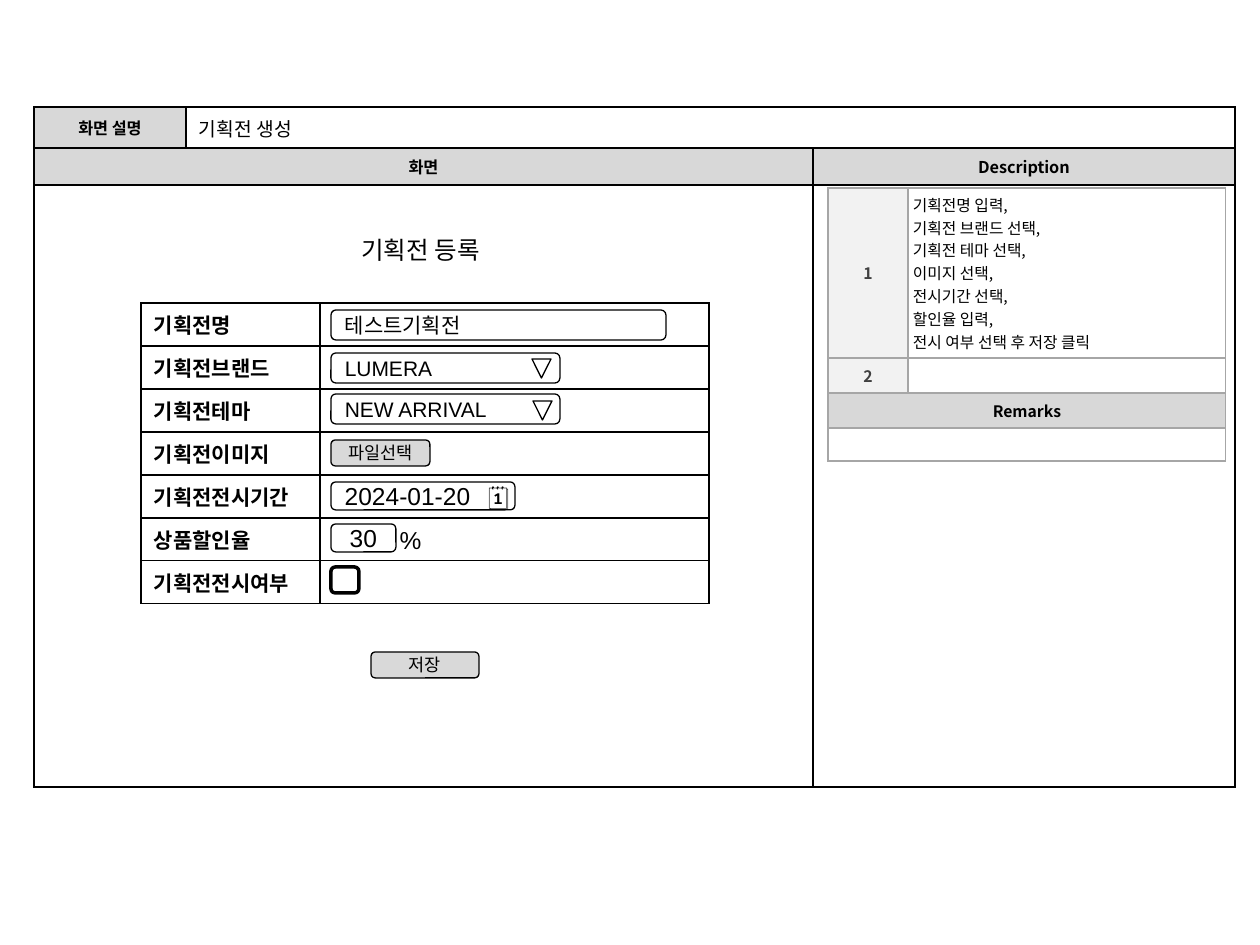
from lxml.etree import SubElement
from pptx import Presentation
from pptx.dml.color import RGBColor
from pptx.enum.shapes import MSO_SHAPE as SHAPE
from pptx.enum.text import MSO_ANCHOR as ANCHOR, MSO_AUTO_SIZE as AUTO, PP_ALIGN as ALIGN
from pptx.oxml.ns import qn
from pptx.util import Emu, Pt

PX = 914400 // 126
KR, LATIN = "Noto Sans CJK KR", "Arial"
C = dict(black="000000", white="FFFFFF", head="D8D8D8", button="D9D9D9",
         number="F2F2F2", gray="404040", rule="A6A6A6")

# Text styles: font values and paragraph alignment
HEAD = dict(size=9.3, name=KR, bold=True, align=ALIGN.CENTER)
TITLE = dict(size=11, name=KR)
NUMBER = dict(size=9, name=KR, bold=True, color="gray", align=ALIGN.CENTER)
REMARK = dict(NUMBER, color="black")
NOTE = dict(size=9, name=KR)
LABEL = dict(size=12, name=LATIN, bold=True)
FIELD = dict(size=12, name=LATIN)
BIG = dict(size=14, name=LATIN)
BIG_MID = dict(BIG, align=ALIGN.CENTER)
BUTTON = dict(size=10, name=LATIN, align=ALIGN.CENTER)

STEPS = ["기획전명 입력,", "기획전 브랜드 선택,", "기획전 테마 선택,", "이미지 선택,",
         "전시기간 선택,", "할인율 입력,", "전시 여부 선택 후 저장 클릭"]
LABELS = ["기획전명", "기획전브랜드", "기획전테마", "기획전이미지",
          "기획전전시기간", "상품할인율", "기획전전시여부"]
PAD, TIGHT, SMALL = (13, 6, 13, 6), (0, 6, 0, 6), (5, 5, 5, 5)
MID, TOP = ANCHOR.MIDDLE, ANCHOR.TOP

# Cells: (row, column): lines, style, fill, insets, anchor
FRAME = dict(
    at=(34, 107), cols=[152, 627, 422], rows=[41, 37, 602], border=("black", 1),
    spans=[(0, 1, 2), (1, 0, 1), (2, 0, 1)],
    cells={(0, 0): (["화면 설명"], HEAD, "head", PAD, MID),
           (0, 1): (["기획전 생성"], TITLE, "white", PAD, MID),
           (1, 0): (["화면"], HEAD, "head", PAD, MID),
           (1, 2): (["Description"], HEAD, "head", PAD, MID),
           (2, 0): ([""], NOTE, "white", PAD, TOP),
           (2, 2): ([""], NOTE, "white", PAD, TOP)})
DESCRIPTION = dict(
    at=(828, 188), cols=[80, 318], rows=[170, 35, 35, 33], border=("rule", 0.75),
    spans=[(2, 0, 1), (3, 0, 1)],
    cells={(0, 0): (["1"], NUMBER, "number", TIGHT, MID),
           (0, 1): (STEPS, NOTE, "white", SMALL, TOP),
           (1, 0): (["2"], NUMBER, "number", TIGHT, MID),
           (1, 1): ([""], NOTE, "white", SMALL, TOP),
           (2, 0): (["Remarks"], REMARK, "head", PAD, MID)})
FORM = dict(
    at=(141, 303), cols=[179, 389], rows=[43] * len(LABELS), border=("black", 1), spans=[],
    cells={(i, 0): ([label], LABEL, None, PAD, TOP) for i, label in enumerate(LABELS)})

# Form controls: box, fill, line width, text, style
FIELD_X = 331
CONTROLS = [
    ((FIELD_X, 440, 99, 26), "button", 0.75, "파일선택", BUTTON),
    ((FIELD_X, 310, 335, 30), "white", 0.75, "테스트기획전", FIELD),
    ((FIELD_X, 567, 28, 26), None, 2, "", FIELD),
    ((FIELD_X, 482, 184, 28), "white", 0.75, "2024-01-20", BIG),
    ((FIELD_X, 524, 65, 28), "white", 0.75, "30", BIG_MID),
    ((371, 652, 108, 26), "button", 0.75, "저장", BUTTON),
    ((FIELD_X, 353, 229, 30), "white", 0.75, "LUMERA", FIELD),
    ((FIELD_X, 394, 229, 30), "white", 0.75, "NEW ARRIVAL", FIELD),
]
ARROWS = [(532, 359, 19, 19), (533, 401, 19, 19)]
# Free text: box, text, wrap
TEXTS = [((474, 475, 50, 43), "🗓", False),
         ((388, 519, 24, 43), "%", True),
         ((349, 229, 156, 43), "기획전 등록", False)]


def px(*values):
    return [Emu(v * PX) for v in values]


def rgb(name):
    return RGBColor.from_string(C[name])


def paint(fill, name):
    if name:
        fill.solid()
        fill.fore_color.rgb = rgb(name)
    else:
        fill.background()


def write(tf, lines, style):
    for i, line in enumerate(lines):
        p = tf.add_paragraph() if i else tf.paragraphs[0]
        p.alignment = style.get("align", ALIGN.LEFT)
        if not line:
            SubElement(p._p, qn("a:endParaRPr"), sz=str(round(style["size"] * 100)))
            continue
        r = p.add_run()
        r.text = line
        r.font.color.rgb = rgb(style.get("color", "black"))
        values = dict(size=Pt(style["size"]), name=style["name"], bold=style.get("bold", False))
        for key, value in values.items():
            setattr(r.font, key, value)
        SubElement(r._r.get_or_add_rPr(), qn("a:ea"), typeface=KR)


def set_borders(cell, color, width):
    tcPr = cell._tc.get_or_add_tcPr()
    for i, side in enumerate("LRTB"):
        ln = SubElement(tcPr, qn("a:ln" + side), w=str(Pt(width)))
        SubElement(SubElement(ln, qn("a:solidFill")), qn("a:srgbClr"), val=C[color])
        tcPr.insert(i, ln)


def add_table(slide, at, cols, rows, border, spans, cells):
    box = px(*at, sum(cols), sum(rows))
    table = slide.shapes.add_table(len(rows), len(cols), *box).table
    table.first_row = table.horz_banding = False
    for col, width in zip(table.columns, cols):
        col.width = Emu(width * PX)
    for row, height in zip(table.rows, rows):
        row.height = Emu(height * PX)
    for row, first, last in spans:
        table.cell(row, first).merge(table.cell(row, last))
    for r in range(len(rows)):
        for c in range(len(cols)):
            cell = table.cell(r, c)
            lines, style, fill, insets, anchor = cells.get((r, c), ([""], NOTE, None, PAD, TOP))
            for side, inset in zip(("left", "top", "right", "bottom"), px(*insets)):
                setattr(cell, "margin_" + side, inset)
            cell.vertical_anchor = anchor
            paint(cell.fill, fill)
            set_borders(cell, *border)
            write(cell.text_frame, lines, style)


def add_box(slide, kind, box, fill, width):
    s = slide.shapes.add_shape(kind, *px(*box))
    s.shadow.inherit = False
    paint(s.fill, fill)
    s.line.color.rgb = rgb("black")
    s.line.width = Pt(width)
    return s


def main():
    prs = Presentation()
    prs.slide_width, prs.slide_height = px(1260, 945)
    slide = prs.slides.add_slide(prs.slide_layouts[6])

    for table in (FRAME, DESCRIPTION, FORM):
        add_table(slide, **table)

    # Fields and buttons
    for box, fill, width, text, style in CONTROLS:
        s = add_box(slide, SHAPE.ROUNDED_RECTANGLE, box, fill, width)
        s.text_frame.vertical_anchor = MID
        write(s.text_frame, [text], style)

    # Calendar icon, unit and form title
    for box, text, wrap in TEXTS:
        tf = slide.shapes.add_textbox(*px(*box)).text_frame
        tf.word_wrap = wrap
        tf.auto_size = AUTO.SHAPE_TO_FIT_TEXT
        write(tf, [text], BIG)

    # Drop-down arrows
    for box in ARROWS:
        add_box(slide, SHAPE.FLOWCHART_MERGE, box, "white", 0.75)

    prs.save("out.pptx")


if __name__ == "__main__":
    main()
